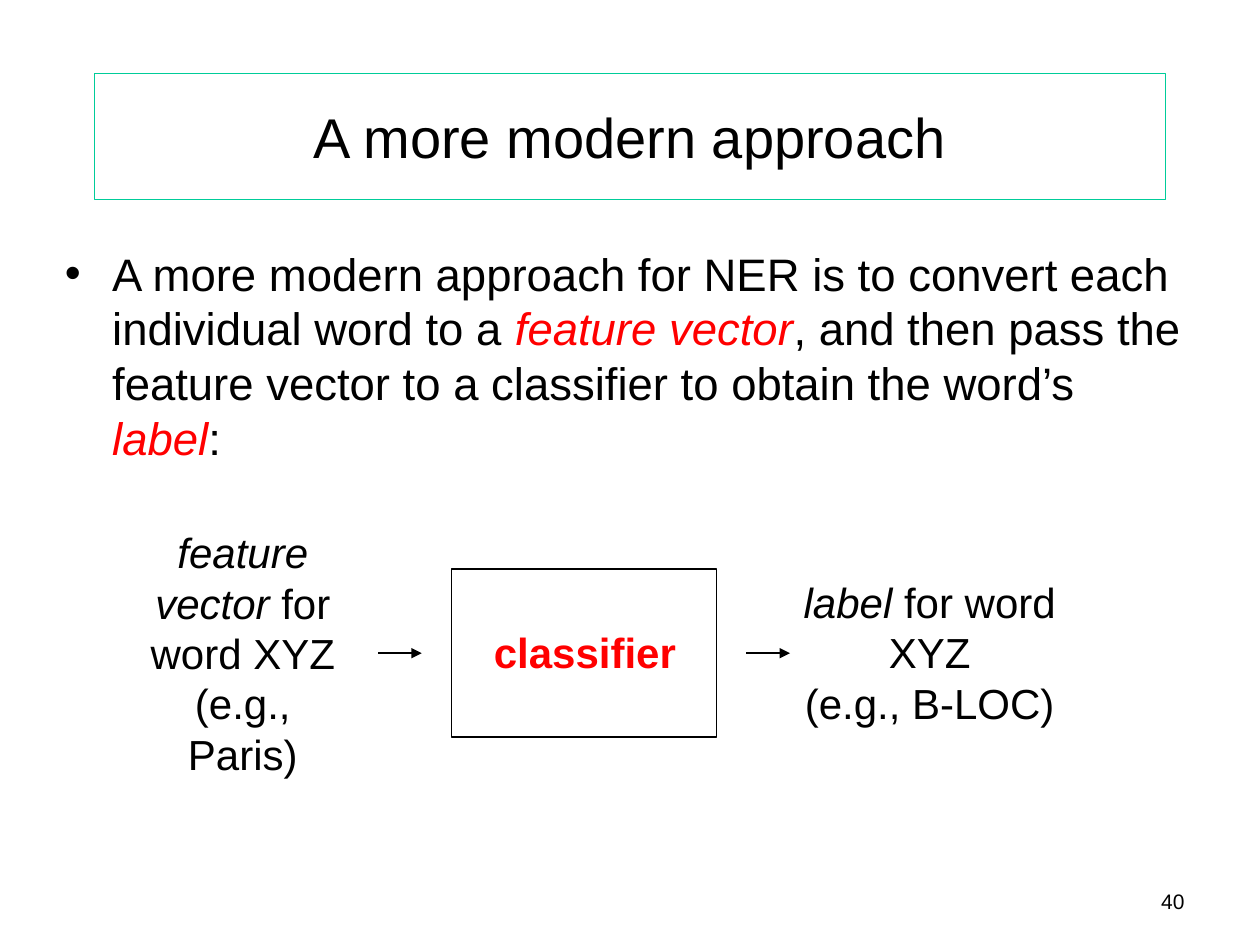
from lxml.etree import SubElement
from pptx import Presentation
from pptx.dml.color import RGBColor
from pptx.enum.shapes import MSO_CONNECTOR, MSO_SHAPE
from pptx.enum.text import MSO_ANCHOR, PP_ALIGN
from pptx.oxml.ns import qn
from pptx.util import Pt

COLORS = {"text": "000000", "accent": "FF0000", "title_line": "00CC99"}
FONT = "Arial"


def rgb(name):
    return RGBColor.from_string(COLORS[name])


def fill_paragraph(para, runs, size, align):
    para.alignment = align
    for text, color, bold, italic in runs:
        span = para.add_run()
        span.text = text
        span.font.name = FONT
        span.font.size = Pt(size)
        span.font.color.rgb = rgb(color)
        span.font.bold = bold
        span.font.italic = italic


def plain(text):
    return text, "text", False, False


def emphasis(text, color="text"):
    return text, color, False, True


def add_text(page, left, top, width, height, paragraphs, size, align):
    box = page.shapes.add_textbox(Pt(left), Pt(top), Pt(width), Pt(height))
    frame = box.text_frame
    frame.word_wrap = True
    for index, runs in enumerate(paragraphs):
        para = frame.add_paragraph() if index else frame.paragraphs[0]
        fill_paragraph(para, runs, size, align)
    return box


def add_frame(page, left, top, width, height, color, weight):
    frame = page.shapes.add_shape(
        MSO_SHAPE.RECTANGLE, Pt(left), Pt(top), Pt(width), Pt(height))
    frame.shadow.inherit = False
    frame.fill.background()
    frame.line.color.rgb = rgb(color)
    frame.line.width = Pt(weight)
    return frame


def add_arrow(page, left, middle, length):
    arrow = page.shapes.add_connector(
        MSO_CONNECTOR.STRAIGHT, Pt(left), Pt(middle), Pt(left + length), Pt(middle))
    arrow.line.color.rgb = rgb("text")
    arrow.line.width = Pt(1)
    SubElement(arrow.line._get_or_add_ln(), qn("a:tailEnd"), type="triangle")
    SubElement(arrow._element.spPr, qn("a:effectLst"))


def add_title(page, left, top, width, height):
    title = add_frame(page, left, top, width, height, "title_line", 0.75)
    title.text_frame.word_wrap = True
    title.text_frame.vertical_anchor = MSO_ANCHOR.MIDDLE
    fill_paragraph(title.text_frame.paragraphs[0],
                   [plain("A more modern approach")], 32, PP_ALIGN.CENTER)


def add_body(page, left, top, width, height):
    runs = [
        plain("A more modern approach for NER is to convert each individual word to a "),
        emphasis("feature vector", "accent"),
        plain(", and then pass the feature vector to a classifier to obtain the word’s "),
        emphasis("label", "accent"),
        plain(":"),
    ]
    body = add_text(page, left, top, width, height, [runs], 26, PP_ALIGN.LEFT)
    properties = body.text_frame.paragraphs[0]._p.get_or_add_pPr()
    properties.set("marL", str(Pt(27)))
    properties.set("indent", str(Pt(-27)))
    SubElement(properties, qn("a:buFont"), typeface=FONT)
    SubElement(properties, qn("a:buChar"), char="•")


def add_diagram(page, left, top, width, height):
    middle = top + height / 2 - 0.5
    add_text(page, left, top, 121.5, height,
             [[emphasis("feature vector"), plain(" for word XYZ")],
              [plain("(e.g., Paris)")]], 24, PP_ALIGN.CENTER)
    add_frame(page, left + 180, middle - 48, 151.5, 96, "text", 1)
    add_text(page, left + 180.5, middle - 18.5, 151.5, 44.5,
             [[("classifier", "accent", True, False)]], 24, PP_ALIGN.CENTER)
    add_text(page, left + width - 161.5, middle - 47.5, 161.5, 94.5,
             [[emphasis("label"), plain(" for word XYZ")],
              [plain("(e.g., B-LOC)")]], 24, PP_ALIGN.CENTER)
    for offset in (138, 348.5):
        add_arrow(page, left + offset, middle, 25)


def add_page_number(page, left, top, width, height):
    add_text(page, left, top, width, height, [[plain("40")]], 12, PP_ALIGN.RIGHT)


def main():
    deck = Presentation()
    deck.slide_width, deck.slide_height = Pt(720), Pt(540)
    page = deck.slides.add_slide(deck.slide_layouts[6])
    add_title(page, 54, 42, 612, 72)
    add_body(page, 30, 137, 660, 133)
    add_diagram(page, 78, 297.5, 534, 152.5)
    add_page_number(page, 648, 504, 36, 24)
    deck.save("out.pptx")


if __name__ == "__main__":
    main()
